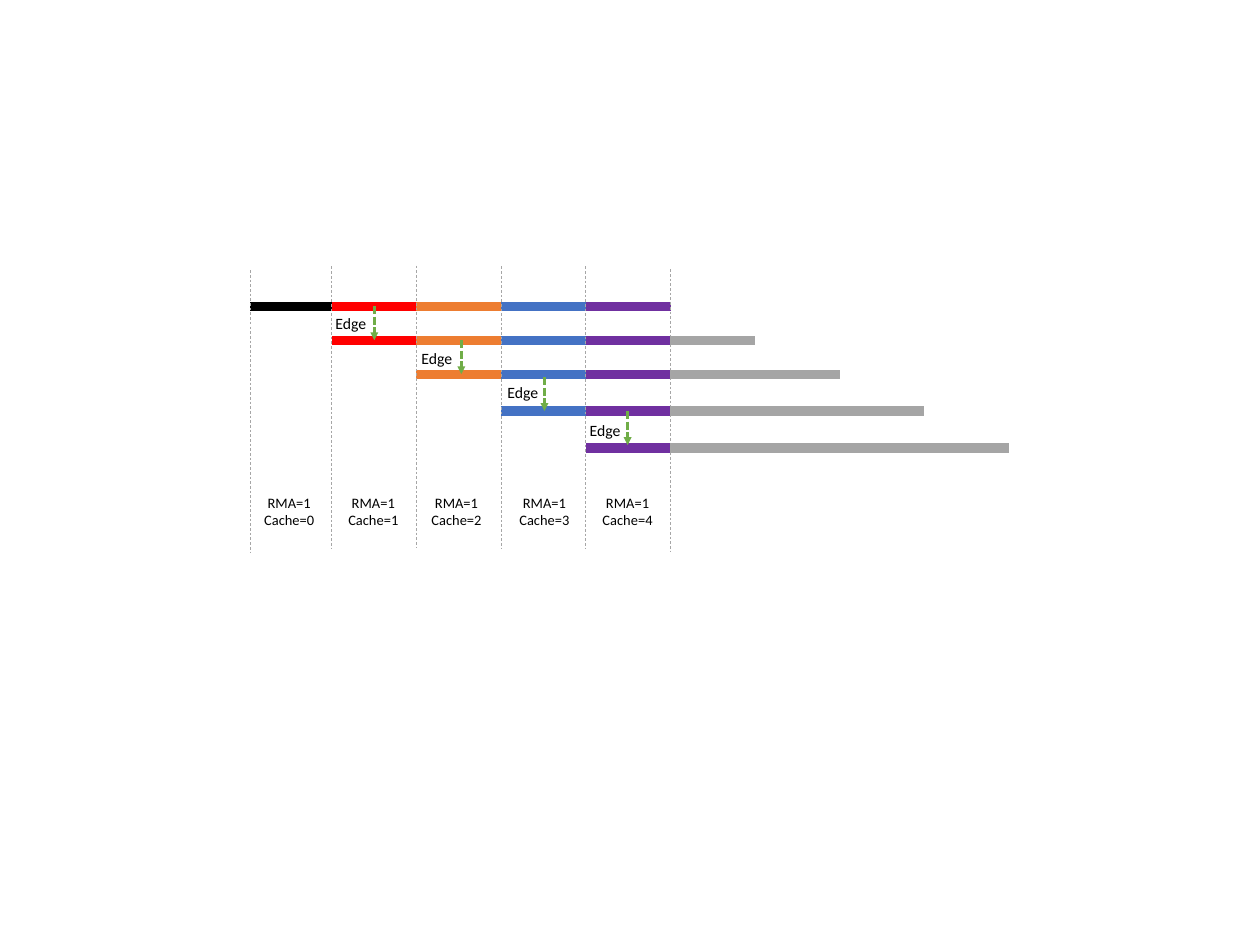
from dataclasses import dataclass
from typing import Any, Optional

import lxml.etree
import pptx
import pptx.dml.color
import pptx.enum.dml
import pptx.enum.shapes
import pptx.enum.text
import pptx.oxml.ns
import pptx.util

RGBColor = pptx.dml.color.RGBColor
Inches = pptx.util.Inches
Dash = pptx.enum.dml.MSO_LINE
Align = pptx.enum.text.PP_ALIGN
qn = pptx.oxml.ns.qn

BLACK = RGBColor(0x00, 0x00, 0x00)
RED = RGBColor(0xFF, 0x00, 0x00)
ORANGE = RGBColor(0xED, 0x7D, 0x31)
BLUE = RGBColor(0x44, 0x72, 0xC4)
PURPLE = RGBColor(0x70, 0x30, 0xA0)
GRAY = RGBColor(0xA5, 0xA5, 0xA5)
SILVER = RGBColor(0xA6, 0xA6, 0xA6)
GREEN = RGBColor(0x70, 0xAD, 0x47)

HUES = (BLACK, RED, ORANGE, BLUE, PURPLE)
ROWS = (3.24, 3.6, 3.96, 4.35, 4.74)
START = 2.65
SECOND = 3.51
STEP = 0.895
BAR = 0.9


@dataclass(frozen=True)
class Pen:
    color: RGBColor
    width: float
    dash: Optional[Any] = None
    arrow: bool = False


@dataclass(frozen=True)
class Edge:
    x: float
    top: float
    left: float
    label: float


@dataclass(frozen=True)
class Guide:
    top: float
    base: float


EDGES = (
    Edge(3.96, 3.24, 3.45, 3.27),
    Edge(4.88, 3.6, 4.36, 3.64),
    Edge(5.76, 3.99, 5.27, 4.0),
    Edge(6.64, 4.35, 6.14, 4.4),
)
GUIDES = (
    Guide(2.86, 5.84),
    Guide(2.82, 5.81),
    Guide(2.81, 5.79),
    Guide(2.82, 5.81),
    Guide(2.82, 5.81),
    Guide(2.85, 5.83),
)
COUNTS = (2.63, 3.52, 4.4, 5.33, 6.21)

FINE = Pen(SILVER, 0.5, Dash.DASH)
ARROW = Pen(GREEN, 2, Dash.SQUARE_DOT, True)


def place(slot: int) -> float:
    return START if slot == 0 else SECOND + (slot - 1) * STEP


def draw_line(shapes: Any, x1: float, y1: float, x2: float, y2: float, pen: Pen) -> None:
    line = shapes.add_connector(
        pptx.enum.shapes.MSO_CONNECTOR.STRAIGHT,
        Inches(x1), Inches(y1), Inches(x2), Inches(y2),
    )
    line.line.color.rgb = pen.color
    line.line.width = pptx.util.Pt(pen.width)
    if pen.dash is not None:
        line.line.dash_style = pen.dash
    if pen.arrow:
        lxml.etree.SubElement(line.get_or_add_ln(), qn("a:tailEnd"), type="triangle")
    lxml.etree.SubElement(line._element.spPr, qn("a:effectLst"))


def draw_text(
    shapes: Any, left: float, top: float, width: float, height: float,
    lines: tuple[str, ...], size: float, align: Any,
) -> None:
    box = shapes.add_textbox(Inches(left), Inches(top), Inches(width), Inches(height))
    frame = box.text_frame
    frame.word_wrap = False
    frame.auto_size = pptx.enum.text.MSO_AUTO_SIZE.SHAPE_TO_FIT_TEXT
    for rank, words in enumerate(lines):
        para = frame.add_paragraph() if rank else frame.paragraphs[0]
        para.alignment = align
        run = para.add_run()
        run.text = words
        run.font.name = "Calibri"
        run.font.size = pptx.util.Pt(size)
        run.font.color.rgb = BLACK


def draw_row(shapes: Any, row: int, y: float) -> None:
    group = shapes.add_group_shape()
    for slot in range(row, row + len(HUES)):
        hue = HUES[slot] if slot < len(HUES) else GRAY
        x = place(slot)
        draw_line(group.shapes, x, y, x + BAR, y, Pen(hue, 7))


def main() -> None:
    deck = pptx.Presentation()
    deck.slide_width = Inches(13.33)
    deck.slide_height = Inches(10)
    shapes = deck.slides.add_slide(deck.slide_layouts[6]).shapes

    for row, y in enumerate(ROWS):
        draw_row(shapes, row, y)
    for edge in EDGES:
        draw_line(shapes, edge.x, edge.top, edge.x, edge.top + 0.36, ARROW)
        draw_text(shapes, edge.left, edge.label, 0.54, 0.3, ("Edge",), 12, Align.LEFT)
    for slot, guide in enumerate(GUIDES):
        draw_line(shapes, place(slot), guide.top, place(slot), guide.base, FINE)
    for count, left in enumerate(COUNTS):
        lines = ("RMA=1", f"Cache={count}")
        draw_text(shapes, left, 5.18, 0.86, 0.47, lines, 11, Align.CENTER)

    deck.save("out.pptx")


if __name__ == "__main__":
    main()
